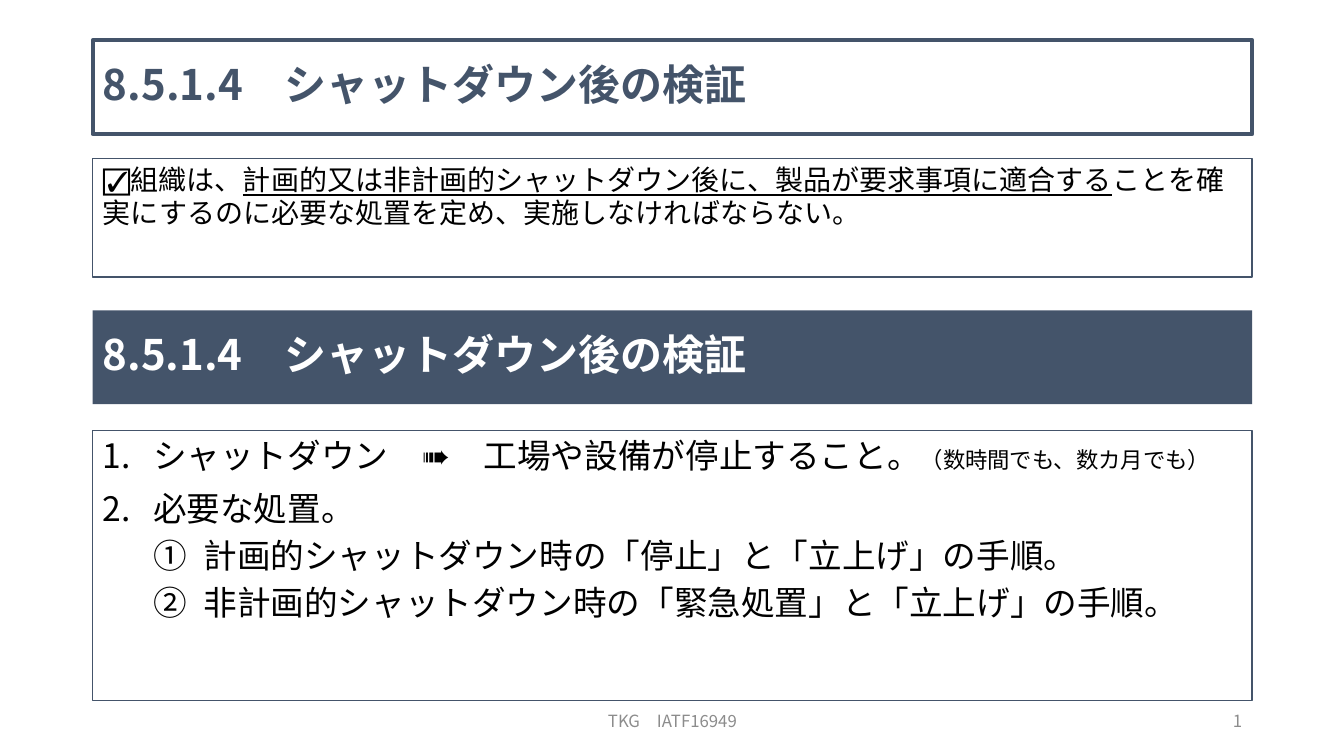
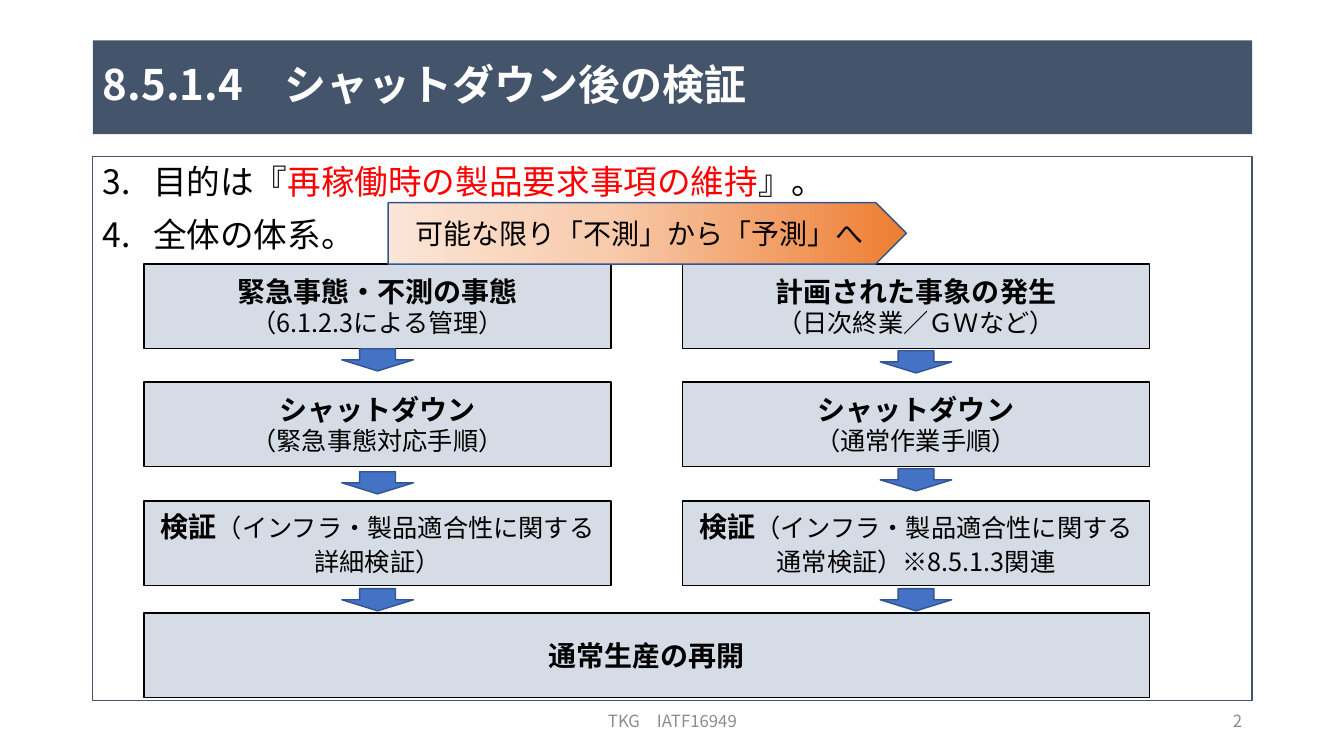
"""Build two slides on verification after a shutdown (IATF 16949, 8.5.1.4)."""
from copy import deepcopy

from lxml import etree
from pptx import Presentation
from pptx.dml.color import RGBColor
from pptx.enum.shapes import MSO_SHAPE
from pptx.enum.text import MSO_ANCHOR, MSO_AUTO_SIZE, PP_ALIGN
from pptx.oxml.ns import qn
from pptx.util import Inches, Pt

RECT, DOWN, PLATE = MSO_SHAPE.RECTANGLE, MSO_SHAPE.DOWN_ARROW, MSO_SHAPE.PENTAGON
TOP, MIDDLE = MSO_ANCHOR.TOP, MSO_ANCHOR.MIDDLE
LEFT, CENTER, RIGHT = PP_ALIGN.LEFT, PP_ALIGN.CENTER, PP_ALIGN.RIGHT

WHITE = RGBColor(0xFF, 0xFF, 0xFF)
BLACK = RGBColor(0x00, 0x00, 0x00)
RED = RGBColor(0xFF, 0x00, 0x00)
GREY = RGBColor(0x8C, 0x8C, 0x8C)
SLATE = RGBColor(0x44, 0x54, 0x6A)
PALE = RGBColor(0xD6, 0xDC, 0xE5)
BLUE = RGBColor(0x44, 0x72, 0xC4)
DARK_BLUE = RGBColor(0x32, 0x54, 0x91)
ORANGES = [(0, RGBColor(0xFB, 0xE5, 0xD6)), (0.42, RGBColor(0xF8, 0xCB, 0xAD)),
           (1, RGBColor(0xED, 0x7D, 0x31))]
FONT = "Noto Sans CJK JP"
LEADING = 1.18
MARGIN, WIDTH, BAND_HEIGHT = 0.92, 11.5, 0.93
HEADING = "8.5.1.4　シャットダウン後の検証"


def write(shape, paragraphs, align=LEFT, anchor=MIDDLE, color=BLACK, spacing=None):
    """Fill a shape with paragraphs of (text, size, font settings) runs."""
    frame = shape.text_frame
    frame.word_wrap = True
    frame.auto_size = MSO_AUTO_SIZE.NONE
    frame.vertical_anchor = anchor
    for index, runs in enumerate(paragraphs):
        paragraph = frame.paragraphs[0] if index == 0 else frame.add_paragraph()
        paragraph.alignment = align
        paragraph.line_spacing = spacing or Pt(round(runs[0][1] * LEADING, 1))
        for text, size, settings in runs:
            run = paragraph.add_run()
            run.text = text
            run.font.size = Pt(size)
            run.font.bold = settings.get("bold", False)
            run.font.underline = settings.get("underline", False)
            run.font.color.rgb = settings.get("color", color)
            run.font.name = FONT
            etree.SubElement(run.font._element, qn("a:ea"), typeface=FONT)


def add_box(slide, kind, left, top, width, height, fill=None, line=None):
    """Add a flat preset shape with an optional fill and outline."""
    box = slide.shapes.add_shape(kind, Inches(left), Inches(top), Inches(width), Inches(height))
    box.shadow.inherit = False
    if fill is None:
        box.fill.background()
    else:
        box.fill.solid()
        box.fill.fore_color.rgb = fill
    if line is None:
        box.line.fill.background()
    else:
        box.line.color.rgb = line
        box.line.width = Pt(1)
    return box


prs = Presentation()
prs.slide_width, prs.slide_height = Inches(13.33), Inches(7.5)
requirement, flow = [prs.slides.add_slide(prs.slide_layouts[5]) for _ in range(2)]

for slide, fill, color in [(requirement, WHITE, SLATE), (flow, SLATE, WHITE)]:
    title = slide.shapes.title
    title.left, title.top = Inches(MARGIN), Inches(0.4)
    title.width, title.height = Inches(WIDTH), Inches(BAND_HEIGHT)
    title.fill.solid()
    title.fill.fore_color.rgb = fill
    write(title, [[(HEADING, 30, {"bold": True})]], color=color, spacing=0.9)
requirement.shapes.title.line.color.rgb = SLATE
requirement.shapes.title.line.width = Pt(3)

clause = add_box(requirement, RECT, MARGIN, 1.57, WIDTH, 1.18, line=SLATE)
write(clause, [[
    ("☑組織は、", 20, {}),
    ("計画的又は非計画的シャットダウン後に、製品が要求事項に適合する", 20, {"underline": True}),
    ("ことを確実にするのに必要な処置を定め、実施しなければならない。", 20, {}),
]], anchor=TOP)

band = add_box(requirement, RECT, MARGIN, 3.08, WIDTH, BAND_HEIGHT, SLATE)
write(band, [[(HEADING, 30, {"bold": True})]], color=WHITE, spacing=0.9)

explanation = [
    (0, [("シャットダウン　➠　工場や設備が停止すること。", 24, {}),
         ("（数時間でも、数カ月でも）", 16, {})]),
    (0, [("必要な処置。", 24, {})]),
    (1, [("計画的シャットダウン時の「停止」と「立上げ」の手順。", 24, {})]),
    (1, [("非計画的シャットダウン時の「緊急処置」と「立上げ」の手順。", 24, {})]),
]
purpose = [
    (0, [("目的は『", 24, {}), ("再稼働時の製品要求事項の維持", 24, {"color": RED}),
         ("』。", 24, {})]),
    (0, [("全体の体系。", 24, {})]),
]
for slide, top, items, start in [(requirement, 4.27, explanation, 1), (flow, 1.55, purpose, 3)]:
    panel = add_box(slide, RECT, MARGIN, top, WIDTH, 6.95 - top, line=SLATE)
    write(panel, [runs for _, runs in items], anchor=TOP)
    for index, (level, _) in enumerate(items):
        paragraph = panel.text_frame.paragraphs[index]
        paragraph.level = level
        if index:
            paragraph.space_before = Pt(5 if level else 10)
        properties = paragraph._p.get_or_add_pPr()
        properties.set("marL", str(Inches(0.5 * (level + 1))))
        properties.set("indent", str(Inches(-0.5)))
        number = etree.SubElement(properties, qn("a:buAutoNum"))
        number.set("type", "circleNumDbPlain" if level else "arabicPeriod")
        if start > 1:
            number.set("startAt", str(start))

STEP_WIDTH, STEP_HEIGHT = 4.63, 0.84
STEP_TOPS = [2.62, 3.79, 4.97]
ARROW_WIDTH, ARROW_HEIGHT = 0.71, 0.22
bold = {"bold": True}
columns = [
    (1.43, [3.46, 4.68, 5.84], [
        [[("緊急事態・不測の事態", 20, bold)], [("（6.1.2.3による管理）", 18, {})]],
        [[("シャットダウン", 20, bold)], [("（緊急事態対応手順）", 18, {})]],
        [[("検証", 20, bold), ("（インフラ・製品適合性に関する詳細検証）", 18, {})]],
    ]),
    (6.77, [3.48, 4.65, 5.84], [
        [[("計画された事象の発生", 20, bold)], [("（日次終業／ＧＷなど）", 18, {})]],
        [[("シャットダウン", 20, bold)], [("（通常作業手順）", 18, {})]],
        [[("検証", 20, bold),
          ("（インフラ・製品適合性に関する通常検証）※8.5.1.3関連", 18, {})]],
    ]),
]
for left, arrow_tops, steps in columns:
    arrow_left = left + (STEP_WIDTH - ARROW_WIDTH) / 2
    for step_top, arrow_top, text in zip(STEP_TOPS, arrow_tops, steps):
        step = add_box(flow, RECT, left, step_top, STEP_WIDTH, STEP_HEIGHT, PALE, BLACK)
        write(step, text, CENTER)
        add_box(flow, DOWN, arrow_left, arrow_top, ARROW_WIDTH, ARROW_HEIGHT, BLUE, DARK_BLUE)

restart = add_box(flow, RECT, 1.43, 6.08, 9.97, STEP_HEIGHT, PALE, BLACK)
write(restart, [[("通常生産の再開", 20, bold)]], CENTER)

foresight = add_box(flow, PLATE, 3.85, 2.01, 5.14, 0.61, line=DARK_BLUE)
foresight.fill.gradient()
foresight.fill.gradient_angle = 0
stop_list = foresight._element.spPr.find(".//" + qn("a:gsLst"))
stop_list.insert(1, deepcopy(stop_list[0]))
for stop, (position, color) in zip(foresight.fill.gradient_stops, ORANGES):
    stop.position = position
    stop.color.rgb = color
write(foresight, [[("可能な限り「不測」から「予測」へ", 20, {})]], CENTER)

for page, slide in enumerate(prs.slides, 1):
    for left, width, text, align in [(4.42, 4.5, "TKG　IATF16949", CENTER),
                                     (9.42, 3, str(page), RIGHT)]:
        footer = slide.shapes.add_textbox(Inches(left), Inches(6.95), Inches(width), Inches(0.4))
        write(footer, [[(text, 12, {})]], align, color=GREY)

prs.save("out.pptx")
